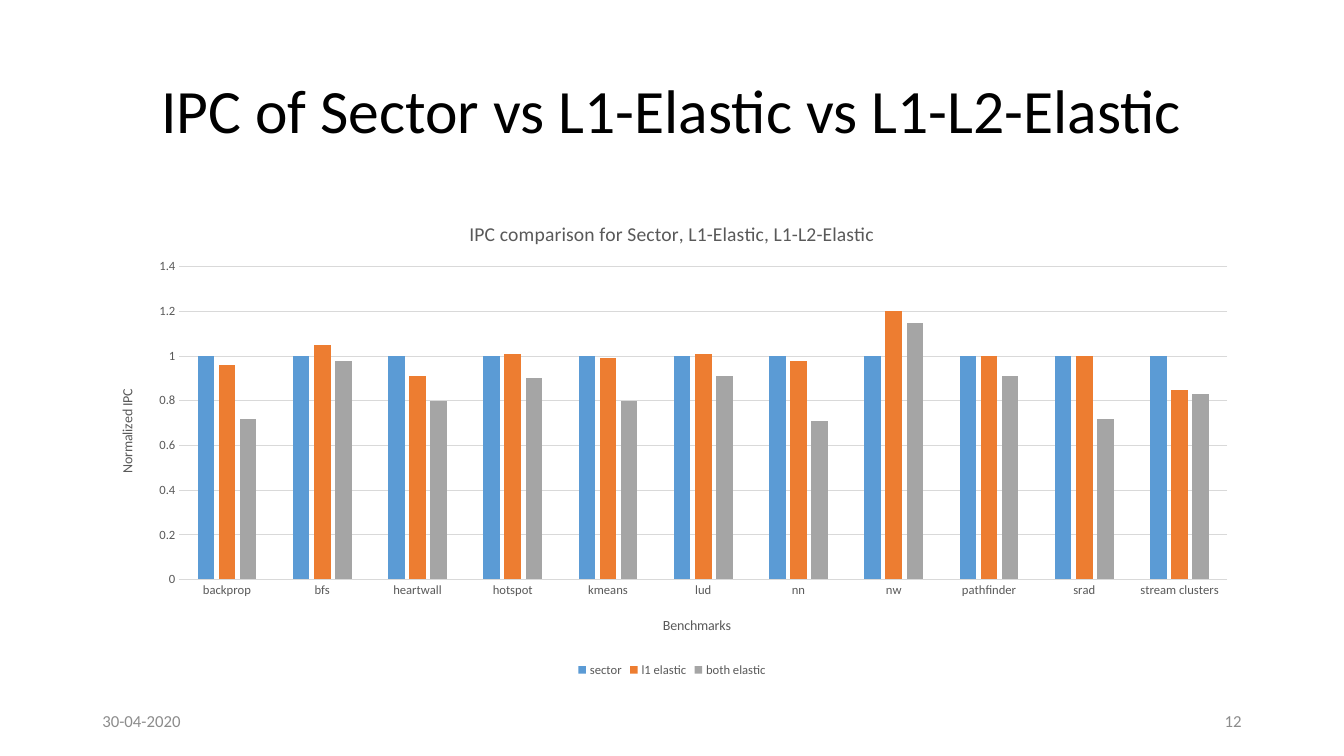
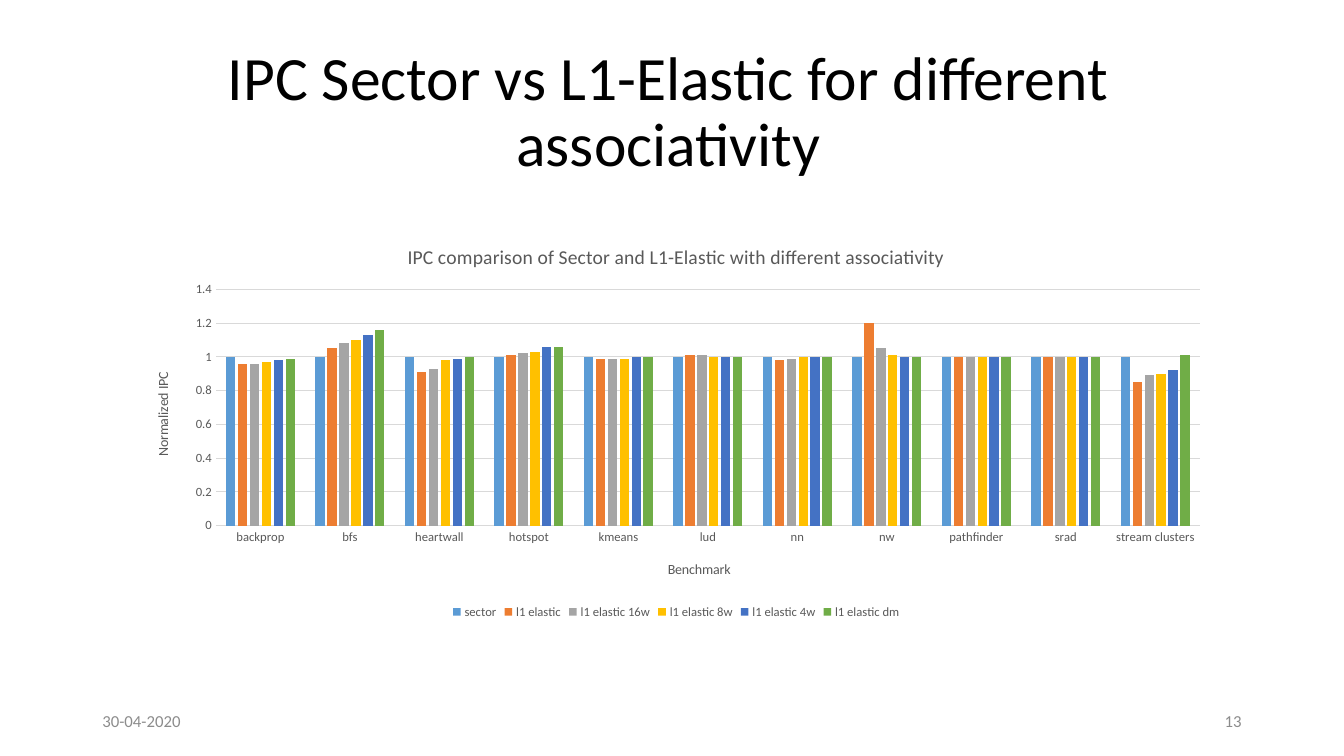
from dataclasses import dataclass
from typing import Any

from lxml.etree import SubElement
from pptx import Presentation
from pptx.chart.axis import CategoryAxis, ValueAxis
from pptx.chart.chart import Chart
from pptx.chart.data import CategoryChartData
from pptx.dml.color import RGBColor
from pptx.enum.chart import XL_CHART_TYPE, XL_LEGEND_POSITION, XL_TICK_MARK
from pptx.enum.text import MSO_ANCHOR, MSO_AUTO_SIZE, PP_ALIGN
from pptx.oxml import parse_xml
from pptx.oxml.ns import nsdecls, qn
from pptx.slide import Slide
from pptx.text.text import Font, TextFrame
from pptx.util import Emu, Pt

# Shared look: a grid of 160 columns by 90 rows, 12 cells to the inch
COLS, ROWS, CELL = 160, 90, 76200
FONT = "Calibri"
DATE = "30-04-2020"
COLORS = {
    "title": "000000", "footer": "8C8C8C", "chart": "595959", "grid": "D9D9D9",
    "sector": "5B9BD5", "l1 elastic": "ED7D31", "both elastic": "A5A5A5",
    "l1 elastic 16w": "A5A5A5", "l1 elastic 8w": "FFC000",
    "l1 elastic 4w": "4472C4", "l1 elastic dm": "70AD47",
}
BENCHMARKS = ["backprop", "bfs", "heartwall", "hotspot", "kmeans", "lud", "nn",
              "nw", "pathfinder", "srad", "stream clusters"]
BASE_SERIES = {
    "sector": [1] * len(BENCHMARKS),
    "l1 elastic": [0.96, 1.05, 0.91, 1.01, 0.99, 1.01, 0.98, 1.2, 1, 1, 0.85],
}


@dataclass(frozen=True)
class Box:
    """A place on the grid, in columns and rows."""
    col: float
    row: float
    cols: float
    rows: float

    def emu(self) -> list[Emu]:
        return [Emu(round(v * CELL)) for v in (self.col, self.row, self.cols, self.rows)]


@dataclass(frozen=True)
class ChartSlide:
    number: int
    title: str
    title_box: Box
    chart_title: str
    chart_box: Box
    cat_title: str
    series: dict[str, list[float]]
    # Shares of the chart's width and height
    plot: tuple[float, ...]
    cat_title_at: tuple[float, ...]
    val_title_at: tuple[float, ...]


SLIDES = [
    ChartSlide(
        12, "IPC of Sector vs L1-Elastic vs L1-L2-Elastic", Box(11, 4.8, 138, 17.4),
        "IPC comparison for Sector, L1-Elastic, L1-L2-Elastic", Box(11, 24, 138, 57.1),
        "Benchmarks",
        {"both elastic": [0.72, 0.98, 0.8, 0.9, 0.8, 0.91, 0.71, 1.15, 0.91, 0.72, 0.83]},
        (0.075, 0.136, 0.904, 0.652), (0.49, 0.86), (0.02, 0.385)),
    ChartSlide(
        13, "IPC Sector vs L1-Elastic for different associativity",
        Box(7.4, 4.8, 144.4, 17.4),
        "IPC comparison of Sector and L1-Elastic with different associativity",
        Box(15.4, 27, 130.2, 47.2), "Benchmark",
        {"l1 elastic 16w": [0.96, 1.08, 0.93, 1.02, 0.99, 1.01, 0.99, 1.05, 1, 1, 0.89],
         "l1 elastic 8w": [0.97, 1.1, 0.98, 1.03, 0.99, 1, 1, 1.01, 1, 1, 0.9],
         "l1 elastic 4w": [0.98, 1.13, 0.99, 1.06, 1, 1, 1, 1, 1, 1, 0.92],
         "l1 elastic dm": [0.99, 1.16, 1, 1.06, 1, 1, 1, 1, 1, 1, 1.01]},
        (0.079, 0.158, 0.9, 0.596), (0.49, 0.835), (0.02, 0.36)),
]


def set_all(target: Any, **values: Any) -> None:
    for name, value in values.items():
        setattr(target, name, value)


def rgb(name: str) -> RGBColor:
    return RGBColor.from_string(COLORS[name])


def style_font(font: Font, size: float, color: str) -> None:
    set_all(font, name=FONT, size=Pt(size), bold=False)
    font.color.rgb = rgb(color)


def write(tf: TextFrame, text: str, size: float, color: str, **para: Any) -> None:
    p = tf.paragraphs[0]
    set_all(p, **para)
    r = p.add_run()
    r.text = text
    style_font(r.font, size, color)


def place(parent: Any, index: int, shares: tuple[float, ...]) -> None:
    """Give a chart part a manual layout; four shares mean an inner plot area."""
    for old in parent.findall(qn("c:layout")):
        parent.remove(old)
    layout = parse_xml(f"<c:layout {nsdecls('c')}/>")
    manual = SubElement(layout, qn("c:manualLayout"))
    if len(shares) == 4:
        SubElement(manual, qn("c:layoutTarget")).set("val", "inner")
    for mode in ("xMode", "yMode"):
        SubElement(manual, qn(f"c:{mode}")).set("val", "edge")
    for key, share in zip("xywh", shares):
        SubElement(manual, qn(f"c:{key}")).set("val", str(share))
    parent.insert(index, layout)


# Title and footer
def add_title(s: Slide, text: str, box: Box) -> None:
    sp = s.shapes.title
    set_all(sp, **dict(zip(("left", "top", "width", "height"), box.emu())))
    tf = sp.text_frame
    set_all(tf, word_wrap=True, auto_size=MSO_AUTO_SIZE.NONE,
            vertical_anchor=MSO_ANCHOR.MIDDLE)
    write(tf, text, 44, "title", alignment=PP_ALIGN.CENTER, line_spacing=0.9)


def add_footer(s: Slide, number: int) -> None:
    for text, col, align in ((str(number), 113, PP_ALIGN.RIGHT), (DATE, 11, PP_ALIGN.LEFT)):
        tf = s.shapes.add_textbox(*Box(col, 83.4, 36, 4.8).emu()).text_frame
        set_all(tf, word_wrap=True, vertical_anchor=MSO_ANCHOR.MIDDLE)
        write(tf, text, 12, "footer", alignment=align)


# Chart
def style_axis(axis: CategoryAxis | ValueAxis, title: str, at: tuple[float, ...]) -> None:
    set_all(axis, major_tick_mark=XL_TICK_MARK.NONE, minor_tick_mark=XL_TICK_MARK.NONE)
    style_font(axis.tick_labels.font, 9, "chart")
    write(axis.axis_title.text_frame, title, 10, "chart")
    place(axis.axis_title._element, 1, at)


def style_line(line: Any) -> None:
    line.color.rgb = rgb("grid")
    line.width = Pt(0.75)


def style_axes(chart: Chart, spec_slide: ChartSlide) -> None:
    cat, val = chart.category_axis, chart.value_axis
    style_axis(cat, spec_slide.cat_title, spec_slide.cat_title_at)
    style_axis(val, "Normalized IPC", spec_slide.val_title_at)
    set_all(val, minimum_scale=0, maximum_scale=1.4, major_unit=0.2,
            has_major_gridlines=True)
    style_line(cat.format.line)
    style_line(val.major_gridlines.format.line)
    val.format.line.fill.background()


def add_ipc_chart(s: Slide, item: ChartSlide) -> None:
    data = CategoryChartData()
    data.categories = BENCHMARKS
    for name, values in (BASE_SERIES | item.series).items():
        data.add_series(name, values)
    chart = s.shapes.add_chart(
        XL_CHART_TYPE.COLUMN_CLUSTERED, *item.chart_box.emu(), data).chart
    style_font(chart.font, 10, "title")
    write(chart.chart_title.text_frame, item.chart_title, 14, "chart")
    chart.chart_title.include_in_layout = False

    chart.has_legend = True
    set_all(chart.legend, position=XL_LEGEND_POSITION.BOTTOM, include_in_layout=False)
    style_font(chart.legend.font, 9, "chart")

    plot = chart.plots[0]
    set_all(plot, gap_width=219, overlap=-27, vary_by_categories=False)
    for series in plot.series:
        series.format.fill.solid()
        series.format.fill.fore_color.rgb = rgb(series.name)
        series.invert_if_negative = False
    style_axes(chart, item)
    place(chart._chartSpace.chart.plotArea, 0, item.plot)


# Slides
prs = Presentation()
set_all(prs, slide_width=Emu(COLS * CELL), slide_height=Emu(ROWS * CELL))
for item in SLIDES:
    s = prs.slides.add_slide(prs.slide_layouts.get_by_name("Title Only"))
    add_title(s, item.title, item.title_box)
    add_ipc_chart(s, item)
    add_footer(s, item.number)
prs.save("out.pptx")
